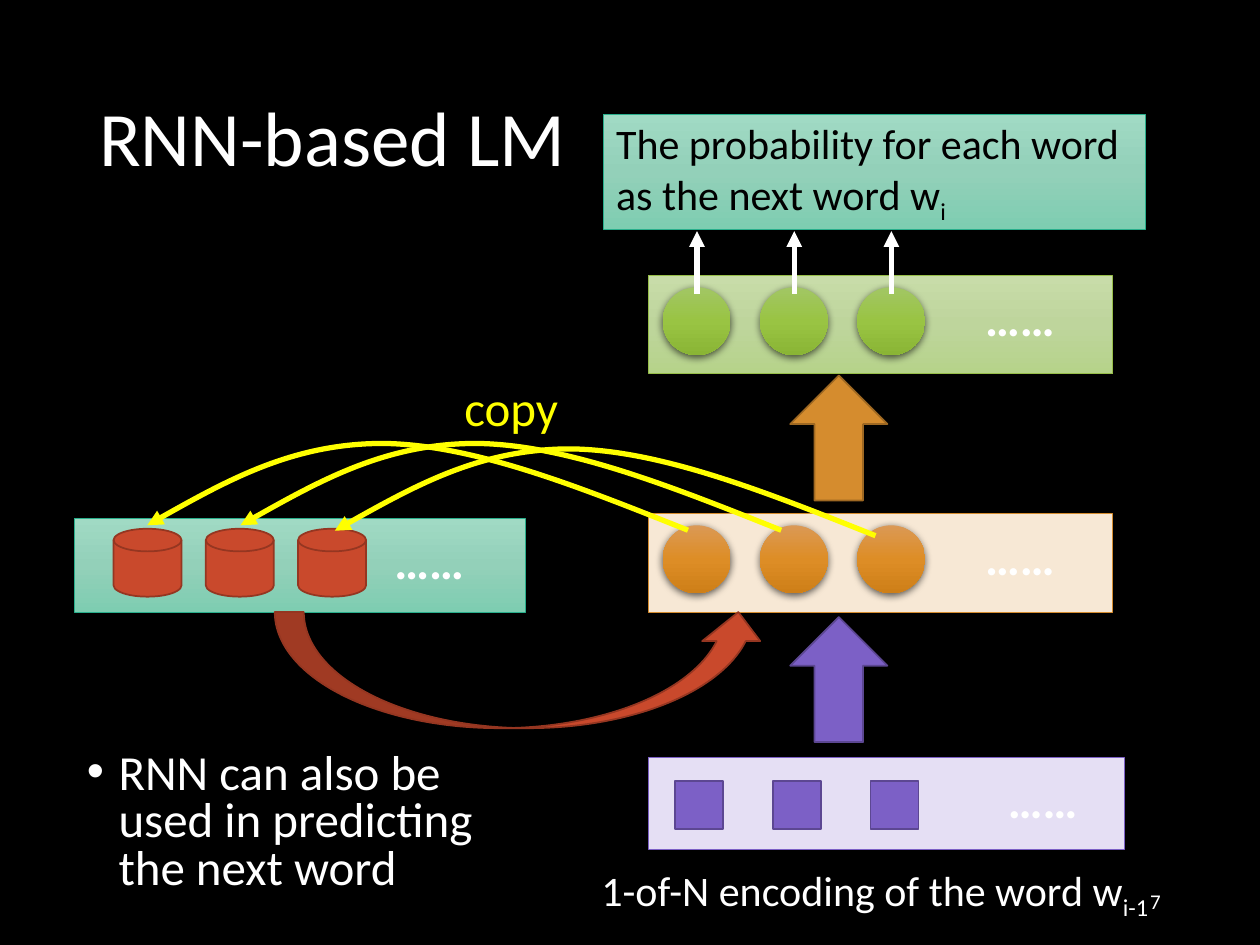
from copy import deepcopy

from lxml.etree import SubElement
from pptx import Presentation
from pptx.dml.color import RGBColor
from pptx.enum.shapes import MSO_CONNECTOR, MSO_SHAPE
from pptx.enum.text import MSO_ANCHOR, PP_ALIGN
from pptx.oxml.ns import qn
from pptx.util import Cm, Pt

COLORS = {
    "black": "000000", "white": "FFFFFF", "yellow": "FFFF00",
    "purple": "7C60C6", "dark purple": "5C4792", "pale purple": "E5DFF4",
    "orange": "D58C2E", "dark orange": "9E6822", "pale orange": "F7E8D5",
    "red": "C9492C", "dark red": "953621", "teal": "29AF8C", "green": "97BE49",
}
GRADIENTS = {
    "teal": ("A0DAC4", "93D0B9", "7ECDB1"),
    "pale green": ("C8DCA9", "BED59C", "B6D38A"),
    "green": ("A2C664", "99C443", "8AB535"),
    "orange": ("DB9955", "DD8D26", "CE7F18"),
}
COPY_CURVE = [(-2.16, -0.86), (-4.32, -1.73), (-6.15, -1.75),
              (-7.95, -1.75), (-9.42, -0.94), (-10.9, -0.1)]


def color(name):
    return RGBColor.from_string(COLORS[name])


def fill_gradient(shape, name):
    shape.fill.gradient()
    shape.fill.gradient_angle = 270
    stop_list = shape._element.spPr.find(".//" + qn("a:gsLst"))
    stop_list.insert(1, deepcopy(stop_list[0]))
    for index, stop in enumerate(shape.fill.gradient_stops):
        stop.position = index / 2
        stop.color.rgb = RGBColor.from_string(GRADIENTS[name][index])


def add_block(slide, kind, box, fill=None, gradient=None, line=None, width=1):
    shape = slide.shapes.add_shape(kind, *map(Cm, box))
    shape.shadow.inherit = False
    if gradient:
        fill_gradient(shape, gradient)
    else:
        shape.fill.solid()
        shape.fill.fore_color.rgb = color(fill)
    if line:
        shape.line.color.rgb = color(line)
        shape.line.width = Pt(width)
    else:
        shape.line.fill.background()
    return shape


def add_soft_shadow(shape):
    effects = shape._element.spPr.find(qn("a:effectLst"))
    shadow = SubElement(effects, qn("a:outerShdw"), blurRad=str(Pt(4.5)),
                        dist=str(Pt(1.5)), dir="5400000", rotWithShape="0")
    shade = SubElement(shadow, qn("a:srgbClr"), val=COLORS["black"])
    SubElement(shade, qn("a:alpha"), val="63000")


def write_text(shape, text, size, name="white", subscript="", bold=False,
               align=PP_ALIGN.LEFT, anchor=MSO_ANCHOR.TOP):
    frame = shape.text_frame
    frame.word_wrap = True
    frame.vertical_anchor = anchor
    frame.text = text
    paragraph = frame.paragraphs[0]
    paragraph.alignment = align
    if subscript:
        run = paragraph.add_run()
        run.text = subscript
        run._r.get_or_add_rPr().set("baseline", "-25000")
    for run in paragraph.runs:
        run.font.name = "Calibri"
        run.font.size = Pt(size)
        run.font.bold = bold
        run.font.color.rgb = color(name)
    return paragraph


def add_text(slide, box, text, size, **options):
    return write_text(slide.shapes.add_textbox(*map(Cm, box)), text, size, **options)


def add_layer(slide, box, style, node_kind, node_style, first, step, size, dots):
    left, top = box[:2]
    add_block(slide, MSO_SHAPE.RECTANGLE, box, width=0.5, **style)
    for index in range(3):
        node_box = (left + first[0] + index * step, top + first[1], size, size)
        node = add_block(slide, node_kind, node_box, **node_style)
        if node_kind == MSO_SHAPE.OVAL:
            add_soft_shadow(node)
    add_text(slide, (left + dots, top + 0.12, 3.71, 1.45), "……", 28, bold=True)


def add_arrowhead(line_shape):
    line_shape.line.width = Pt(3)
    SubElement(line_shape.line._get_or_add_ln(), qn("a:tailEnd"), type="triangle")


def add_output_arrows(slide, left, top, step, height):
    for index in range(3):
        x = Cm(left + index * step)
        arrow = slide.shapes.add_connector(
            MSO_CONNECTOR.STRAIGHT, x, Cm(top + height), x, Cm(top))
        arrow.line.color.rgb = color("white")
        add_arrowhead(arrow)
        SubElement(arrow._element.spPr, qn("a:effectLst"))


def add_copy_curve(slide, x, y):
    builder = slide.shapes.build_freeform(Cm(x), Cm(y))
    builder.add_line_segments([(Cm(x + dx), Cm(y + dy)) for dx, dy in COPY_CURVE],
                              close=False)
    curve = builder.convert_to_shape()
    outline = curve._element.spPr.find(".//" + qn("a:pathLst"))[0]
    segments = outline.findall(qn("a:lnTo"))
    for start in range(0, len(segments), 3):
        bezier = SubElement(outline, qn("a:cubicBezTo"))
        for segment in segments[start:start + 3]:
            bezier.append(segment[0])
            outline.remove(segment)
    curve.shadow.inherit = False
    curve.fill.background()
    curve.line.color.rgb = color("yellow")
    add_arrowhead(curve)


def add_network(slide, left, top):
    neurons = dict(node_kind=MSO_SHAPE.OVAL, first=(0.28, 0.23), step=1.96,
                   size=1.37, dots=6.53)
    add_layer(slide, (left, top + 9.71, 9.58, 1.85),
              dict(fill="pale purple", line="purple"), MSO_SHAPE.RECTANGLE,
              dict(fill="purple", line="dark purple"), (0.53, 0.47), 1.97, 0.97, 6.99)
    add_layer(slide, (left, top + 4.8, 9.35, 1.98),
              dict(fill="pale orange", line="orange"),
              node_style=dict(gradient="orange"), **neurons)
    add_layer(slide, (left, top, 9.35, 1.98),
              dict(gradient="pale green", line="green"),
              node_style=dict(gradient="green"), **neurons)
    add_layer(slide, (left - 11.58, top + 4.9, 9.09, 1.88),
              dict(gradient="teal", line="teal"), MSO_SHAPE.FLOWCHART_MAGNETIC_DISK,
              dict(fill="red", line="dark red"), (0.79, 0.2), 1.86, 1.37, 6.2)
    for offset, name in ((2.01, "orange"), (6.88, "purple")):
        add_block(slide, MSO_SHAPE.UP_ARROW, (left + 2.85, top + offset, 1.96, 2.52),
                  fill=name, line="dark " + name)
    add_block(slide, MSO_SHAPE.CURVED_UP_ARROW, (left - 7.54, top + 6.78, 9.93, 2.34),
              fill="red", line="dark red")
    add_output_arrows(slide, left + 0.97, top - 0.9, 1.96, 1.27)
    for x, y in ((0.79, 5.13), (2.67, 5.13), (4.57, 5.24)):
        add_copy_curve(slide, left + x, top + y)


def add_captions(slide):
    title = add_text(slide, (1.75, 1.02, 21.89, 3.68), "RNN-based LM", 44,
                     anchor=MSO_ANCHOR.MIDDLE)
    title.line_spacing = 0.9
    bullet = add_text(slide, (1.5, 15.06, 9.73, 3.23),
                      "RNN can also be used in predicting the next word", 28)
    bullet.line_spacing = 0.8
    bullet.space_before = Pt(10)
    properties = bullet._p.get_or_add_pPr()
    properties.set("marL", str(Cm(0.64)))
    properties.set("indent", str(Cm(-0.64)))
    SubElement(properties, qn("a:buFont"), typeface="Arial")
    SubElement(properties, qn("a:buChar"), char="•")
    add_text(slide, (8.97, 7.49, 2.67, 1.45), "copy", 28, name="yellow",
             align=PP_ALIGN.CENTER)
    add_text(slide, (11.4, 17.3, 12.47, 1.27), "1-of-N encoding of the word w", 24,
             subscript="i-1", align=PP_ALIGN.CENTER)
    probability = add_block(slide, MSO_SHAPE.RECTANGLE, (12.17, 2.31, 10.92, 2.31),
                            gradient="teal", line="teal", width=0.5)
    write_text(probability, "The probability for each word as the next word w", 24,
               name="black", subscript="i", anchor=MSO_ANCHOR.MIDDLE)
    add_text(slide, (17.93, 17.65, 5.72, 1.02), "7", 12, align=PP_ALIGN.RIGHT,
             anchor=MSO_ANCHOR.MIDDLE)


def main():
    presentation = Presentation()
    presentation.slide_width = Cm(25.4)
    presentation.slide_height = Cm(19.05)
    slide = presentation.slides.add_slide(presentation.slide_layouts[6])
    slide.background.fill.solid()
    slide.background.fill.fore_color.rgb = color("black")
    add_network(slide, 13.08, 5.56)
    add_captions(slide)
    presentation.save("out.pptx")


if __name__ == "__main__":
    main()
